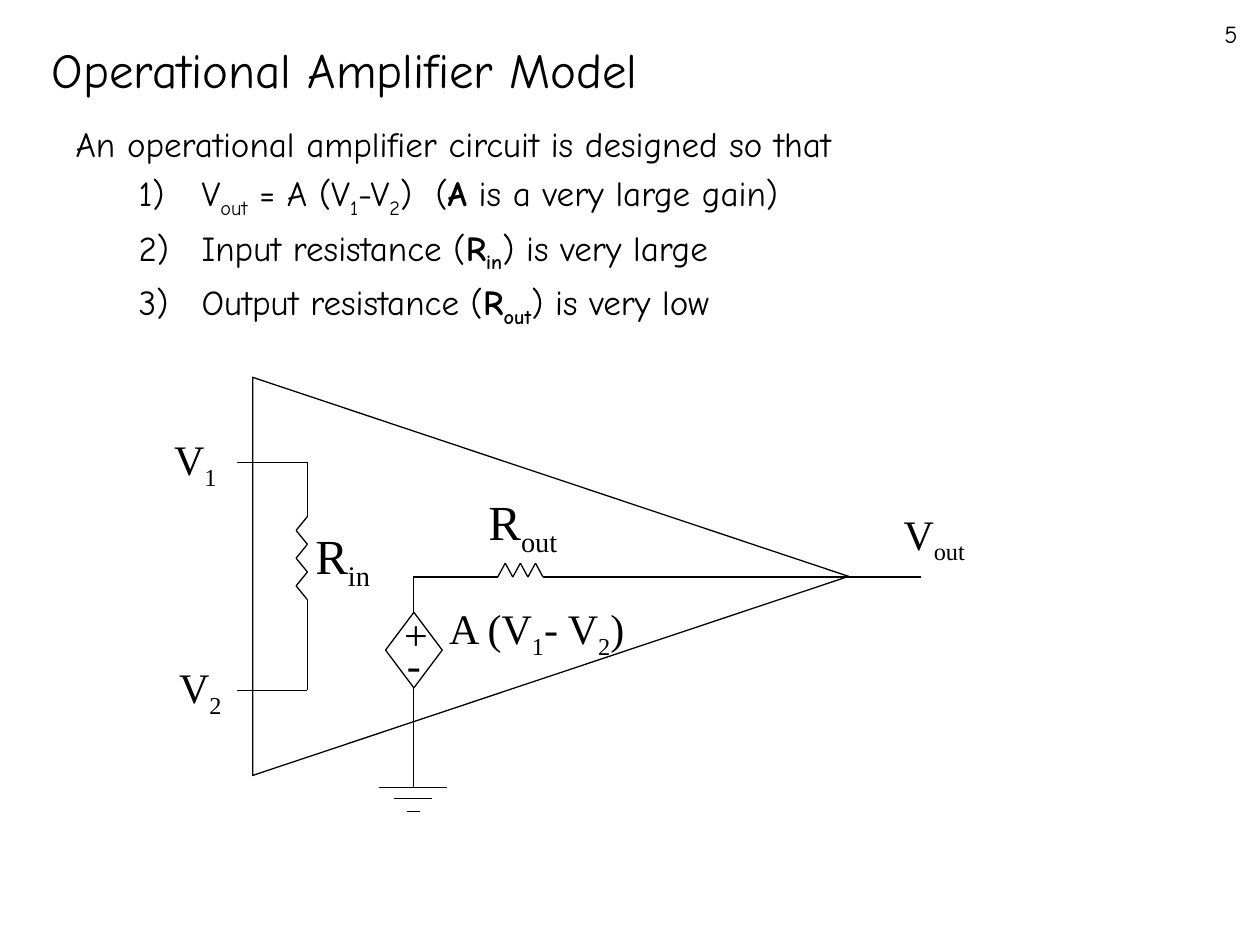
from itertools import pairwise

from lxml import etree
from pptx import Presentation
from pptx.dml.color import RGBColor
from pptx.enum import shapes, text
from pptx.oxml.ns import qn
from pptx.util import Inches, Pt

BLACK = RGBColor(0, 0, 0)
SANS = "Comic Neue"
SERIF = "Times New Roman"

presentation = Presentation()
presentation.slide_width, presentation.slide_height = Inches(10), Inches(7.5)
slide = presentation.slides.add_slide(presentation.slide_layouts[1])


def write(paragraph, runs, font, size, align=text.PP_ALIGN.LEFT):
    """Fill a paragraph with (text, style) runs; style holds b for bold, s for subscript."""
    paragraph.alignment = align
    paragraph.font.name, paragraph.font.size = font, Pt(size)
    paragraph.font.color.rgb = BLACK
    for wording, style in runs:
        run = paragraph.add_run()
        run.text = wording
        if "b" in style:
            run.font.bold = True
        if "s" in style:
            run.font._element.set("baseline", "-25000")


def wire(*points):
    """Join the points with straight lines."""
    for (x1, y1), (x2, y2) in pairwise(points):
        line = slide.shapes.add_connector(
            shapes.MSO_CONNECTOR.STRAIGHT, Inches(x1), Inches(y1), Inches(x2), Inches(y2))
        line.line.color.rgb, line.line.width = BLACK, Pt(0.75)
        etree.SubElement(line._element.spPr, qn("a:effectLst"))


# Title and body placeholders
title, body = slide.shapes.title, slide.placeholders[1]
for placeholder, box in ((title, (0.31, 0.23, 5.86, 0.63)), (body, (0.5, 0.92, 9, 2.27))):
    placeholder.left, placeholder.top, placeholder.width, placeholder.height = map(Inches, box)
    placeholder.text_frame.auto_size = text.MSO_AUTO_SIZE.NONE
title.text_frame.vertical_anchor = text.MSO_ANCHOR.MIDDLE
write(title.text_frame.paragraphs[0], [("Operational Amplifier Model", "")], SANS, 28)

# Introduction and numbered list
body_lines = [
    [("An operational amplifier circuit is designed so that", "")],
    [("V", ""), ("out", "s"), (" = A (V", ""), ("1", "s"), ("-V", ""), ("2", "s"),
     (")  (", ""), ("A", "b"), (" is a very large gain)", "")],
    [("Input resistance (", ""), ("R", "b"), ("in", "bs"), (") is very large", "")],
    [("Output resistance (", ""), ("R", "b"), ("out", "bs"), (") is very low", "")],
]
for index, runs in enumerate(body_lines):
    paragraph = body.text_frame.paragraphs[0] if index == 0 else body.text_frame.add_paragraph()
    write(paragraph, runs, SANS, 20)
    paragraph.space_before = Pt(4)
    properties = paragraph._p.get_or_add_pPr()
    numbered = index > 0
    paragraph.level = int(numbered)
    properties.set("marL", str(Inches(1) if numbered else 0))
    properties.set("indent", str(Inches(-0.5) if numbered else 0))
    bullet = etree.Element(qn("a:buAutoNum" if numbered else "a:buNone"))
    if numbered:
        bullet.set("type", "arabicParenR")
    properties.find(qn("a:defRPr")).addprevious(bullet)

# Slide number
number = slide.shapes.add_textbox(Inches(9), Inches(0.1), Inches(0.92), Inches(0.34))
number.text_frame.word_wrap = True
write(number.text_frame.paragraphs[0], [("5", "")], SANS, 14, text.PP_ALIGN.RIGHT)

# Amplifier triangle and controlled source
outlines = [
    (shapes.MSO_SHAPE.ISOSCELES_TRIANGLE, (2.79, 2.21, 3.16, 4.73), 90),
    (shapes.MSO_SHAPE.FLOWCHART_DECISION, (3.06, 4.86, 0.45, 0.6), 0),
]
for kind, box, rotation in outlines:
    shape = slide.shapes.add_shape(kind, *map(Inches, box))
    shape.rotation = rotation
    shape.shadow.inherit = False
    shape.fill.background()
    shape.line.color.rgb, shape.line.width = BLACK, Pt(0.75)

# Input wires and input resistor
input_zigzag = [(2.35 if i % 2 else 2.44, 4.1 + 0.11 * i) for i in range(7)]
wire((1.88, 3.67), (2.44, 3.67), *input_zigzag, (2.44, 5.48), (1.88, 5.48))

# Source, output resistor and output wire
output_zigzag = [(3.95 + 0.06 * i, 4.47 if i % 2 else 4.58) for i in range(7)]
wire((3.28, 4.87), (3.28, 4.58), *output_zigzag, (7.31, 4.58))

# Ground
wire((3.28, 5.46), (3.28, 6.25))
for y, half_width in ((6.25, 0.27), (6.34, 0.15), (6.44, 0.05)):
    wire((3.28 - half_width, y), (3.28 + half_width, y))

# Circuit labels
labels = [
    ((1.27, 3.42, 0.56, 0.5), 24, [("V", ""), ("1", "s")]),
    ((1.25, 5.23, 0.68, 0.5), 24, [("V", ""), ("2", "s")]),
    ((7.05, 4.01, 0.73, 0.5), 24, [("V", ""), ("out", "s")]),
    ((2.39, 4.15, 0.66, 0.57), 28, [("R", ""), ("in", "s")]),
    ((3.75, 3.88, 0.8, 0.57), 28, [("R", ""), ("out", "s")]),
    ((3.11, 4.83, 0.34, 0.4), 24, [("+", "")]),
    ((3.13, 5.07, 0.29, 0.4), 24, [("-", "")]),
    ((3.44, 4.76, 1.64, 0.5), 24,
     [("A (V", ""), ("1", "s"), ("- V", ""), ("2", "s"), (")", "")]),
]
for box, size, runs in labels:
    label = slide.shapes.add_textbox(*map(Inches, box))
    label.text_frame.word_wrap = False
    label.text_frame.vertical_anchor = text.MSO_ANCHOR.MIDDLE
    write(label.text_frame.paragraphs[0], runs, SERIF, size, text.PP_ALIGN.CENTER)

presentation.save("out.pptx")
